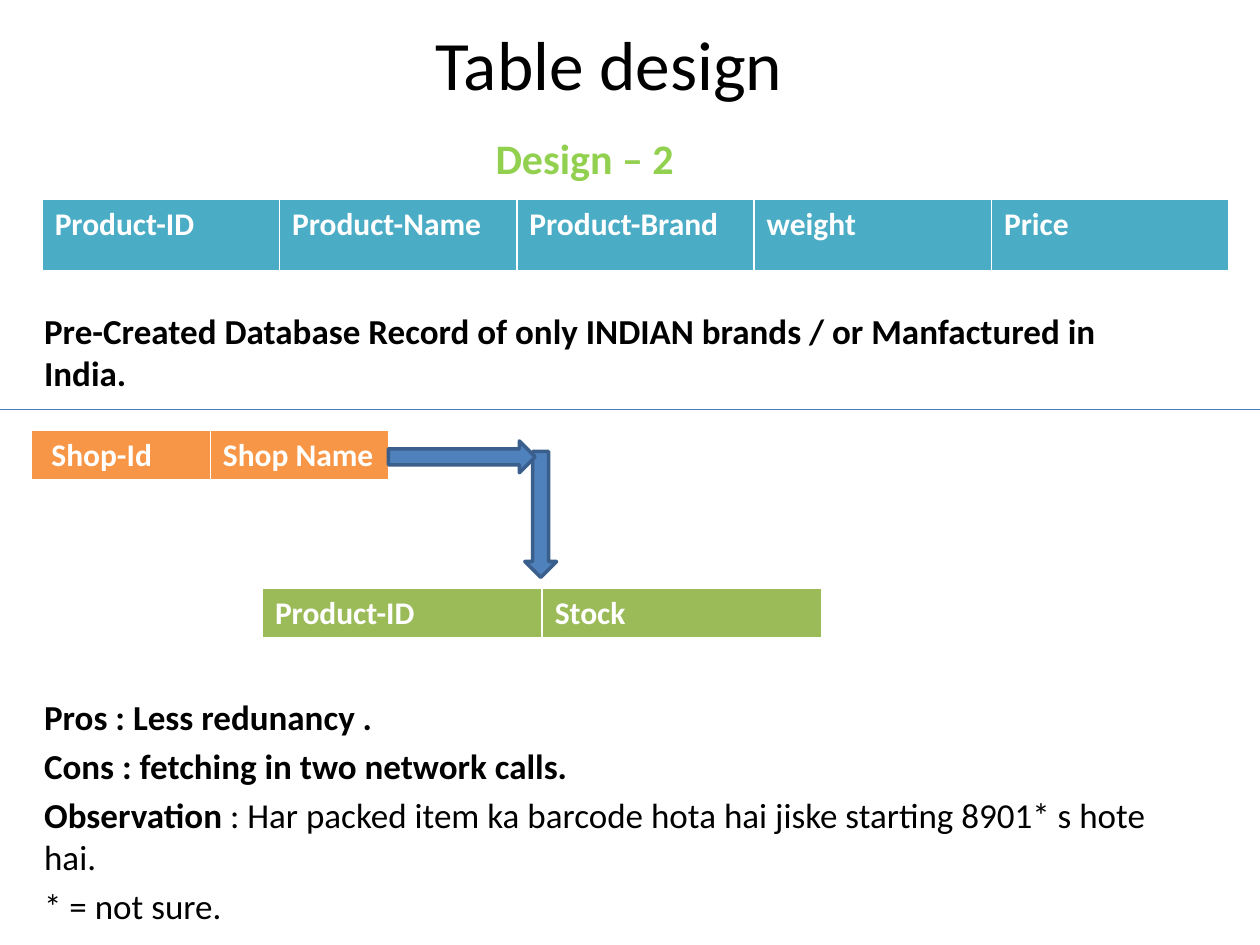
from dataclasses import dataclass

from lxml.etree import SubElement
from pptx import Presentation
from pptx.dml.color import RGBColor
from pptx.enum.shapes import MSO_CONNECTOR as Connector, MSO_SHAPE as Shape
from pptx.enum.text import MSO_ANCHOR as Anchor, PP_ALIGN as Align
from pptx.oxml.ns import qn
from pptx.util import Cm, Pt


@dataclass(frozen=True)
class Theme:
    font: str = "Calibri"
    black: str = "000000"
    white: str = "FFFFFF"
    lime: str = "92D050"
    teal: str = "4BACC6"
    orange: str = "F79646"
    green: str = "9BBB59"
    arrow: str = "4F81BD"
    arrow_line: str = "3A5F8C"
    divider: str = "4B7EBC"
    title_size: float = 39.6
    heading_size: float = 24
    body_size: float = 20
    cell_size: float = 18


THEME = Theme()
SLIDE_SIZE = (25.4, 19.05)
DIVIDER_TOP = 8.26

# Boxes are left, top, width, height in centimetres.
# Paragraphs are lists of (text, bold) runs.
TEXTS = [
    ((0.85, 0.42, 22.86, 1.7), [[("Table design", False)]],
     THEME.title_size, THEME.black, Align.CENTER, Anchor.MIDDLE),
    ((9.74, 2.54, 5.08, 1.27), [[("Design – 2", True)]],
     THEME.heading_size, THEME.lime, Align.LEFT, Anchor.TOP),
    ((0.64, 6.12, 23.28, 2), [
        [("Pre-Created Database Record of only INDIAN brands / or Manfactured in India.", True)],
    ], THEME.body_size, THEME.black, Align.LEFT, Anchor.TOP),
    ((0.64, 13.89, 23.28, 4.9), [
        [("Pros : Less redunancy .", True)],
        [("Cons : fetching in two network calls.", True)],
        [("Observation ", True),
         (": Har packed item ka barcode hota hai jiske starting 8901* s hote hai.", False)],
        [("* = not sure.", False)],
    ], THEME.body_size, THEME.black, Align.LEFT, Anchor.TOP),
]
TABLES = [
    ((0.64, 8.68, 7.2, 1.03), THEME.orange, [" Shop-Id", "Shop Name"]),
    ((0.85, 4.01, 23.92, 1.48), THEME.teal,
     ["Product-ID", "Product-Name", "Product-Brand", "weight", "Price"]),
    ((5.29, 11.85, 11.28, 1.03), THEME.green, ["Product-ID", "Stock"]),
]
ARROWS = [
    (Shape.DOWN_ARROW, (10.58, 9.1, 0.64, 2.54)),
    (Shape.RIGHT_ARROW, (7.83, 8.89, 2.96, 0.64)),
]
BORDERS = {"a:lnL": 1, "a:lnR": 1, "a:lnT": 1, "a:lnB": 3}


def color(value):
    return RGBColor.from_string(value)


def lengths(values):
    return [Cm(value) for value in values]


def add_run(paragraph, text, size, text_color, bold):
    run = paragraph.add_run()
    run.text = text
    run.font.name = THEME.font
    run.font.size = Pt(size)
    run.font.bold = bold
    run.font.color.rgb = color(text_color)


def add_text(slide, box, paragraphs, size, text_color, align, anchor):
    frame = slide.shapes.add_textbox(*lengths(box)).text_frame
    frame.word_wrap = True
    frame.vertical_anchor = anchor
    for index, runs in enumerate(paragraphs):
        paragraph = frame.add_paragraph() if index else frame.paragraphs[0]
        paragraph.alignment = align
        if index:
            paragraph.space_before = Pt(size * 0.2)
        for text, bold in runs:
            add_run(paragraph, text, size, text_color, bold)


def set_borders(cell):
    """Draw the borders ahead of the cell fill, as the schema orders them."""
    properties = cell._tc.get_or_add_tcPr()
    for position, (tag, width) in enumerate(BORDERS.items()):
        border = SubElement(properties, qn(tag), w=str(Pt(width)))
        fill = SubElement(border, qn("a:solidFill"))
        SubElement(fill, qn("a:srgbClr"), val=THEME.white)
        properties.insert(position, border)


def add_header_table(slide, box, fill, labels):
    table = slide.shapes.add_table(1, len(labels), *lengths(box)).table
    for column, cell, label in zip(table.columns, table.rows[0].cells, labels):
        column.width = Cm(box[2] / len(labels))
        cell.fill.solid()
        cell.fill.fore_color.rgb = color(fill)
        set_borders(cell)
        add_run(cell.text_frame.paragraphs[0], label, THEME.cell_size, THEME.white, True)


def add_divider(slide):
    ends = lengths((0, DIVIDER_TOP, SLIDE_SIZE[0], DIVIDER_TOP))
    divider = slide.shapes.add_connector(Connector.STRAIGHT, *ends)
    divider.line.color.rgb = color(THEME.divider)
    divider.line.width = Pt(0.75)
    SubElement(divider._element.spPr, qn("a:effectLst"))


def add_arrow(slide, kind, box):
    arrow = slide.shapes.add_shape(kind, *lengths(box))
    arrow.shadow.inherit = False
    arrow.fill.solid()
    arrow.fill.fore_color.rgb = color(THEME.arrow)
    arrow.line.color.rgb = color(THEME.arrow_line)
    arrow.line.width = Pt(2)


def main():
    presentation = Presentation()
    presentation.slide_width, presentation.slide_height = lengths(SLIDE_SIZE)
    slide = presentation.slides.add_slide(presentation.slide_layouts[6])
    for text in TEXTS:
        add_text(slide, *text)
    for table in TABLES:
        add_header_table(slide, *table)
    add_divider(slide)
    for arrow in ARROWS:
        add_arrow(slide, *arrow)
    presentation.save("out.pptx")


if __name__ == "__main__":
    main()
